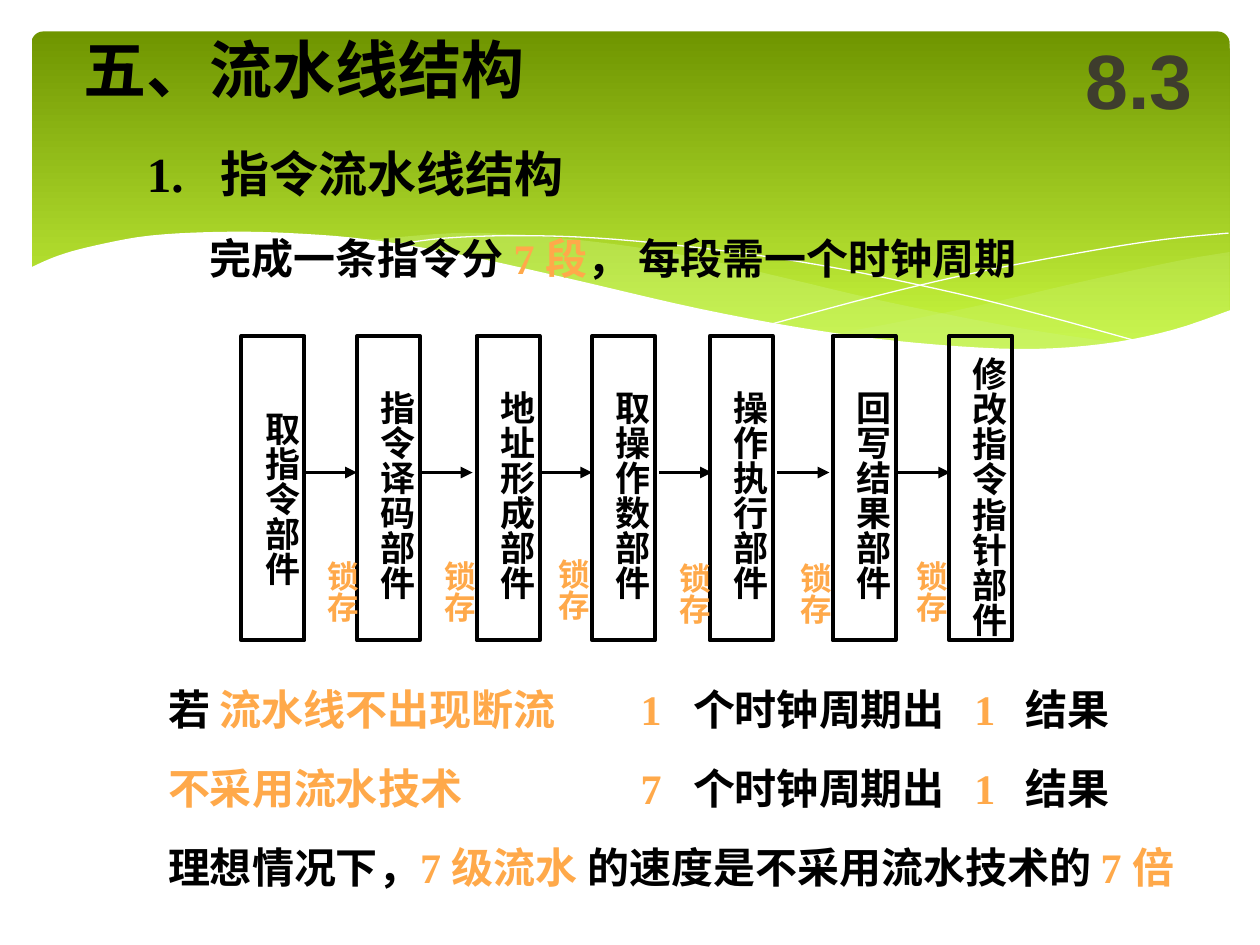
from dataclasses import dataclass
from typing import NamedTuple, Optional

from lxml import etree
from pptx import Presentation, util as u
from pptx.dml.color import RGBColor
from pptx.enum import shapes, text
from pptx.oxml.ns import qn

WIDTH, HEIGHT = u.Inches(10), u.Inches(7.5)
COLUMN, ROW = WIDTH / 120, HEIGHT / 90
WAVE_UNIT = WIDTH / 10


@dataclass(frozen=True)
class Theme:
    ink: str = "000000"
    accent: str = "FFA94A"
    number: str = "3E3D2D"
    white: str = "FFFFFF"
    band_top: str = "6F9500"
    band_bottom: str = "D0FF44"
    wave: str = "CAF278"
    body_font: str = "Times New Roman"
    number_font: str = "Arial"
    title: int = 36
    section: int = 28
    body: int = 24
    stage: int = 20
    latch: int = 18
    corner: int = 44
    stroke: float = 2.25


THEME = Theme()


class Place(NamedTuple):
    """Left, top, width and height in columns and rows of the grid."""
    left: float
    top: float
    width: float
    height: float

    def lengths(self) -> list[int]:
        steps = (COLUMN, ROW, COLUMN, ROW)
        return [round(value * step) for value, step in zip(self, steps)]


class Line(NamedTuple):
    place: Place
    words: str
    size: int = THEME.body
    tabs: tuple = ()


class Stage(NamedTuple):
    left: float
    name: str
    text_top: float
    text_height: float
    wrap: bool = False


class Link(NamedTuple):
    """An arrow between two stages and the latch below it."""
    arrow_left: float
    latch_left: float
    latch_top: float


class Wave(NamedTuple):
    """Smooth edges in tenths of the slide width, then straight corners."""
    edges: tuple
    corners: tuple = ()
    fill: Optional[str] = None
    opacity: int = 100


WAVES = (
    Wave((((9.76, 2), (9.35, 2.07), (8.61, 2.23), (7.79, 2.42), (7.06, 2.57), (6.61, 2.65)),
          ((6.61, 2.65), (7.18, 2.73), (7.81, 2.77), (8.44, 2.77), (8.97, 2.7),
           (9.42, 2.59), (9.76, 2.47))), fill=THEME.wave, opacity=29),
    Wave((((8.93, 2.73), (8.07, 2.6), (7.06, 2.4), (6.29, 2.22), (5.55, 2.05), (4.89, 1.94),
           (4.2, 1.87), (3.61, 1.85), (2.86, 1.91)),
          ((2.86, 1.91), (3.62, 2.03), (4.49, 2.22), (5.3, 2.4), (6.18, 2.58), (6.95, 2.7),
           (7.61, 2.77), (8.18, 2.79), (8.93, 2.73))), fill=THEME.wave, opacity=40),
    Wave((((3.09, 1.95), (3.53, 1.89), (4.16, 1.87), (4.89, 1.9), (5.82, 2), (6.65, 2.13),
           (7.6, 2.33), (8.31, 2.51), (9.07, 2.72)),)),
    Wave((((6.13, 2.57), (6.95, 2.35), (7.76, 2.16), (8.66, 1.99), (9.24, 1.9), (9.75, 1.85)),)),
    Wave((((9.77, 2.46), (9.3, 2.62), (8.75, 2.73), (8.09, 2.77), (7.26, 2.72), (6.47, 2.62),
           (5.55, 2.45), (4.47, 2.2), (3.65, 2.02), (2.92, 1.9), (2.3, 1.85), (1.76, 1.84),
           (1.19, 1.87), (0.75, 1.95), (0.46, 2.03), (0.23, 2.13)),),
         corners=((0.23, 3.29), (9.77, 3.29)), fill=THEME.white),
)

RESULT_TABS = (5, 31.8, 36.7)
LINES = (
    Line(Place(8, 3, 71, 7), "五、流水线结构", THEME.title),
    Line(Place(14, 13, 44, 7), "1.\t指令流水线结构", THEME.section, (7,)),
    Line(Place(20, 21, 86, 7), "完成一条指令分 |7 段|， 每段需一个时钟周期"),
    Line(Place(16, 64, 44, 7), "若 |流水线不出现断流"),
    Line(Place(61, 64, 45, 7), "|1\t|个时钟周期出\t|1\t|结果", tabs=RESULT_TABS),
    Line(Place(16, 71.5, 39, 7), "|不采用流水技术"),
    Line(Place(61, 71.5, 45, 7), "|7\t|个时钟周期出\t|1\t|结果", tabs=RESULT_TABS),
    Line(Place(16, 79, 100, 7), "理想情况下，|7 级流水 |的速度是不采用流水技术的 |7 倍"),
)
STAGES = (
    Stage(23, "取指令部件", 38, 17.9),
    Stage(34, "指令译码部件", 36, 21.25),
    Stage(45.4, "地址形成部件", 36, 21.25),
    Stage(56.4, "取操作数部件", 36, 21.25),
    Stage(67.6, "操作执行部件", 36, 24.8, wrap=True),
    Stage(79.3, "回写结果部件", 36, 27, wrap=True),
    Stage(90.4, "修改指令指针部件", 32.8, 28),
)
LINKS = (
    Link(29, 29, 52.2), Link(40, 40.1, 52.2), Link(51.4, 51, 52),
    Link(62.8, 62.5, 52.4), Link(74, 74, 52.4), Link(85.5, 85.1, 52.2),
)


def smooth(knots: tuple, steps: int = 5) -> list[tuple]:
    """Points of a Catmull-Rom curve through the knots."""
    padded = (knots[0], *knots, knots[-1])
    points = [knots[0]]
    for a, b, c, d in zip(padded, padded[1:], padded[2:], padded[3:]):
        for step in range(1, steps + 1):
            t = step / steps
            points.append(tuple(
                (2 * q + (r - p) * t + (2 * p - 5 * q + 4 * r - s) * t ** 2
                 + (3 * q - p - 3 * r + s) * t ** 3) / 2
                for p, q, r, s in zip(a, b, c, d)))
    return points


def add_text(slide, place: Place, words: str, *, size: int, font: str = THEME.body_font,
             color: str = THEME.ink, insets: tuple = (0, 0.05), tabs: tuple = (),
             wrap: bool = False, vertical: bool = False, align=None) -> None:
    """Add a text box; every second part between bars takes the accent colour."""
    frame = slide.shapes.add_textbox(*place.lengths()).text_frame
    frame.word_wrap = wrap
    frame.margin_left = frame.margin_right = u.Inches(insets[0])
    frame.margin_top = frame.margin_bottom = u.Inches(insets[1])
    if vertical:
        frame.auto_size = text.MSO_AUTO_SIZE.SHAPE_TO_FIT_TEXT
        frame._txBody.bodyPr.set("vert", "eaVert")
    else:
        frame.vertical_anchor = text.MSO_ANCHOR.MIDDLE
    paragraph = frame.paragraphs[0]
    if align is not None:
        paragraph.alignment = align
    if tabs:
        tab_list = etree.SubElement(paragraph._p.get_or_add_pPr(), qn("a:tabLst"))
        for tab in tabs:
            etree.SubElement(tab_list, qn("a:tab"), pos=str(round(tab * COLUMN)), algn="l")
    for index, part in enumerate(words.split("|")):
        if part:
            run = paragraph.add_run()
            run.text = part
            run.font.name, run.font.size, run.font.bold = font, u.Pt(size), True
            run.font.color.rgb = RGBColor.from_string(THEME.accent if index % 2 else color)


def add_band(slide) -> None:
    band = slide.shapes.add_shape(shapes.MSO_SHAPE.ROUNDED_RECTANGLE,
                                  *Place(3, 3, 114.1, 32.4).lengths())
    band.adjustments[0] = 0.034
    band.shadow.inherit = False
    band.line.fill.background()
    band.fill.gradient()
    band.fill.gradient_angle = 270
    for stop, color in zip(band.fill.gradient_stops, (THEME.band_top, THEME.band_bottom)):
        stop.color.rgb = RGBColor.from_string(color)


def add_wave(slide, wave: Wave) -> None:
    points = [point for edge in wave.edges for point in smooth(edge)] + list(wave.corners)
    start, *rest = [tuple(round(value * WAVE_UNIT) for value in point) for point in points]
    builder = slide.shapes.build_freeform(*start)
    builder.add_line_segments(rest, close=wave.fill is not None)
    shape = builder.convert_to_shape()
    shape.shadow.inherit = False
    if wave.fill is None:
        shape.fill.background()
        shape.line.color.rgb = RGBColor.from_string(THEME.white)
        shape.line.width = u.Pt(0)
        return
    shape.line.fill.background()
    shape.fill.solid()
    shape.fill.fore_color.rgb = RGBColor.from_string(wave.fill)
    if wave.opacity < 100:
        color = shape._element.spPr.find(qn("a:solidFill")).find(qn("a:srgbClr"))
        etree.SubElement(color, qn("a:alpha"), val=str(wave.opacity * 1000))


def add_stage(slide, stage: Stage) -> None:
    add_text(slide, Place(stage.left, stage.text_top, 6.4, stage.text_height), stage.name,
             size=THEME.stage, insets=(0.05, 0.1), wrap=stage.wrap, vertical=True)
    box = slide.shapes.add_shape(shapes.MSO_SHAPE.RECTANGLE,
                                 *Place(stage.left, 32, 6, 29).lengths())
    box.shadow.inherit = False
    box.fill.background()
    box.line.color.rgb = RGBColor.from_string(THEME.ink)
    box.line.width = u.Pt(THEME.stroke)


def add_arrow(slide, left: float) -> None:
    x, y, length, _ = Place(left, 45, 5, 0).lengths()
    arrow = slide.shapes.add_connector(shapes.MSO_CONNECTOR.STRAIGHT, x, y, x + length, y)
    arrow.line.color.rgb = RGBColor.from_string(THEME.ink)
    arrow.line.width = u.Pt(THEME.stroke)
    etree.SubElement(arrow.line._get_or_add_ln(), qn("a:tailEnd"), type="triangle")
    etree.SubElement(arrow._element.spPr, qn("a:effectLst"))


def main() -> None:
    presentation = Presentation()
    presentation.slide_width, presentation.slide_height = WIDTH, HEIGHT
    slide = presentation.slides.add_slide(presentation.slide_layouts[6])
    add_band(slide)
    for wave in WAVES:
        add_wave(slide, wave)
    for line in LINES:
        add_text(slide, line.place, line.words, size=line.size, tabs=line.tabs,
                 wrap=bool(line.tabs))
    for stage in STAGES:
        add_stage(slide, stage)
    for link in LINKS:
        add_arrow(slide, link.arrow_left)
    for link in LINKS:
        add_text(slide, Place(link.latch_left, link.latch_top, 6, 7.2), "|锁存",
                 size=THEME.latch, insets=(0.05, 0.1), vertical=True)
    add_text(slide, Place(101, 2, 15, 11), "8.3", size=THEME.corner, font=THEME.number_font,
             color=THEME.number, insets=(0.1, 0.05), wrap=True, align=text.PP_ALIGN.CENTER)
    presentation.save("out.pptx")


if __name__ == "__main__":
    main()
